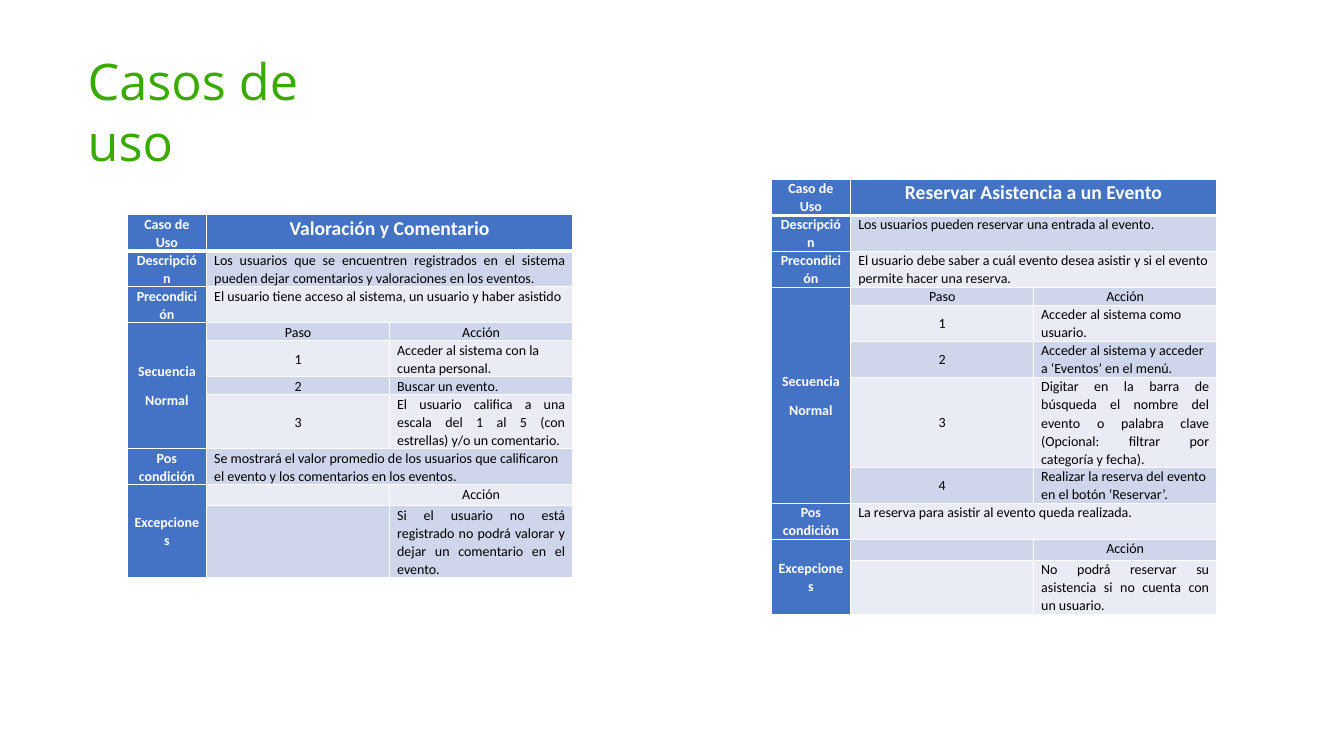
from dataclasses import dataclass

from lxml import etree
from pptx import Presentation
from pptx.dml.color import RGBColor
from pptx.enum.text import MSO_ANCHOR, MSO_AUTO_SIZE, PP_ALIGN
from pptx.oxml.ns import qn
from pptx.slide import Slide
from pptx.table import Table, _Cell
from pptx.util import Cm, Pt

LEFT, CENTER, JUSTIFY = PP_ALIGN.LEFT, PP_ALIGN.CENTER, PP_ALIGN.JUSTIFY
TOP, MIDDLE = MSO_ANCHOR.TOP, MSO_ANCHOR.MIDDLE
FIT_SHAPE = MSO_AUTO_SIZE.SHAPE_TO_FIT_TEXT

GREEN, BLUE, WHITE, BLACK = "38AA00", "4472C4", "FFFFFF", "000000"
BANDS = ("E9EBF5", "CFD5EA")
COLUMN_WIDTHS = (2.01, 4.61, 4.61)
ROW_HEIGHT, STEP_HEIGHT, TALL_STEP_HEIGHT = 0.53, 0.38, 0.43
THIN, THICK = 1, 3


@dataclass
class Entry:
    text: str
    align: PP_ALIGN = LEFT


@dataclass
class UseCase:
    left: float
    top: float
    height: float
    name: str
    description: str
    precondition: str
    steps: list[Entry]
    postcondition: str
    exception: str


USE_CASES = [
    UseCase(
        19.43, 4.52, 10.74,
        "Reservar Asistencia a un Evento",
        "Los usuarios pueden reservar una entrada al evento.",
        "El usuario debe saber a cuál evento desea asistir y si el evento permite hacer una reserva.",
        [
            Entry("Acceder al sistema como usuario."),
            Entry("Acceder al sistema y acceder a ‘Eventos’ en el menú."),
            Entry("Digitar en la barra de búsqueda el nombre del evento o palabra clave "
                  "(Opcional: filtrar por categoría y fecha).", JUSTIFY),
            Entry("Realizar la reserva del evento en el botón ‘Reservar’."),
        ],
        "La reserva para asistir al evento queda realizada.",
        "No podrá reservar su asistencia si no cuenta con un usuario.",
    ),
    UseCase(
        3.2, 5.41, 8.97,
        "Valoración y Comentario",
        "Los usuarios que se encuentren registrados en el sistema pueden dejar "
        "comentarios y valoraciones en los eventos.",
        "El usuario tiene acceso al sistema, un usuario y haber asistido",
        [
            Entry("Acceder al sistema con la cuenta personal."),
            Entry("Buscar un evento."),
            Entry("El usuario califica a una escala del 1 al 5 (con estrellas) "
                  "y/o un comentario.", JUSTIFY),
        ],
        "Se mostrará el valor promedio de los usuarios que calificaron el evento "
        "y los comentarios en los eventos.",
        "Si el usuario no está registrado no podrá valorar y dejar un comentario en el evento.",
    ),
]


def color(value: str) -> RGBColor:
    return RGBColor.from_string(value)


def apply_format(target: object, values: dict) -> None:
    for name, value in values.items():
        setattr(target, name, value)


def add_border(cell: _Cell, side: str, width: float) -> None:
    properties = cell._tc.get_or_add_tcPr()
    line = etree.SubElement(properties, qn(f"a:ln{side}"), w=str(Pt(width)))
    fill = etree.SubElement(line, qn("a:solidFill"))
    etree.SubElement(fill, qn("a:srgbClr"), val=WHITE)


def style_cell(cell: _Cell, row: int, column: int) -> None:
    """Borders, band fill and insets by position; empty text stays at 10 pt."""
    for side in "LRTB":
        under_header = (row, side) in ((0, "B"), (1, "T"))
        add_border(cell, side, THICK if under_header else THIN)
    cell.fill.solid()
    is_heading = row == 0 or column == 0
    cell.fill.fore_color.rgb = color(BLUE if is_heading else BANDS[row % 2])
    apply_format(cell, {"margin_left": Cm(0.19), "margin_right": Cm(0.19),
                        "margin_top": 0, "margin_bottom": 0})
    paragraph = cell.text_frame.paragraphs[0]
    etree.SubElement(paragraph._p, qn("a:endParaRPr"), sz="1000")


def write(cell: _Cell, text: str, align: PP_ALIGN = LEFT, anchor: MSO_ANCHOR = TOP,
          ink: str = BLACK, size: float = 10) -> None:
    cell.text = text
    cell.vertical_anchor = anchor
    for paragraph in cell.text_frame.paragraphs:
        apply_format(paragraph, {"alignment": align, "line_spacing": 1.07,
                                 "space_after": Pt(8)})
        for run in paragraph.runs:
            apply_format(run.font, {"name": "Calibri", "size": Pt(size),
                                    "bold": ink == WHITE})
            run.font.color.rgb = color(ink)


def write_label(table: Table, row: int, text: str, last_row: int) -> None:
    if last_row > row:
        table.cell(row, 0).merge(table.cell(last_row, 0))
    write(table.cell(row, 0), text, CENTER, MIDDLE, WHITE)


def add_use_case(slide: Slide, case: UseCase) -> None:
    step_count = len(case.steps)
    post_row = 4 + step_count
    exception_row = post_row + 1
    step_heights = [STEP_HEIGHT if number < 3 else TALL_STEP_HEIGHT
                    for number in range(step_count + 1)]
    heights = [ROW_HEIGHT] * 3 + step_heights + [ROW_HEIGHT] * 3

    # Grid
    frame = slide.shapes.add_table(len(heights), len(COLUMN_WIDTHS), Cm(case.left),
                                   Cm(case.top), Cm(sum(COLUMN_WIDTHS)), Cm(case.height))
    table = frame.table
    apply_format(table, {"first_row": False, "horz_banding": False})
    for column, width in zip(table.columns, COLUMN_WIDTHS):
        column.width = Cm(width)
    for row, height in zip(table.rows, heights):
        row.height = Cm(height)
    frame.height = Cm(case.height)
    for row in range(len(heights)):
        for column in range(len(COLUMN_WIDTHS)):
            style_cell(table.cell(row, column), row, column)

    # Labels
    labels = [(0, "Caso de Uso", 0), (1, "Descripción", 1), (2, "Precondición", 2),
              (3, "Secuencia\nNormal", post_row - 1), (post_row, "Pos condición", post_row),
              (exception_row, "Excepciones", exception_row + 1)]
    for row, text, last_row in labels:
        write_label(table, row, text, last_row)

    # Wide rows
    for row in (0, 1, 2, post_row):
        table.cell(row, 1).merge(table.cell(row, 2))
    write(table.cell(0, 1), case.name, CENTER, ink=WHITE, size=14)
    write(table.cell(1, 1), case.description, JUSTIFY)
    write(table.cell(2, 1), case.precondition)
    write(table.cell(post_row, 1), case.postcondition)

    # Steps and exception
    write(table.cell(3, 1), "Paso", CENTER)
    for row in (3, exception_row):
        write(table.cell(row, 2), "Acción", CENTER)
    for number, step in enumerate(case.steps, start=1):
        write(table.cell(3 + number, 1), str(number), CENTER, MIDDLE)
        write(table.cell(3 + number, 2), step.text, step.align)
    write(table.cell(exception_row + 1, 2), case.exception, JUSTIFY)


def add_title(slide: Slide) -> None:
    text_frame = slide.shapes.add_textbox(Cm(1.96), Cm(1.14), Cm(7.24), Cm(1.8)).text_frame
    apply_format(text_frame, {"word_wrap": True, "auto_size": FIT_SHAPE})
    run = text_frame.paragraphs[0].add_run()
    run.text = "Casos de uso"
    apply_format(run.font, {"name": "Open Sans", "size": Pt(36)})
    run.font.color.rgb = color(GREEN)


def main() -> None:
    presentation = Presentation()
    apply_format(presentation, {"slide_width": Cm(33.87), "slide_height": Cm(19.05)})
    slide = presentation.slides.add_slide(presentation.slide_layouts[6])
    add_title(slide)
    for case in USE_CASES:
        add_use_case(slide, case)
    presentation.save("out.pptx")


if __name__ == "__main__":
    main()
